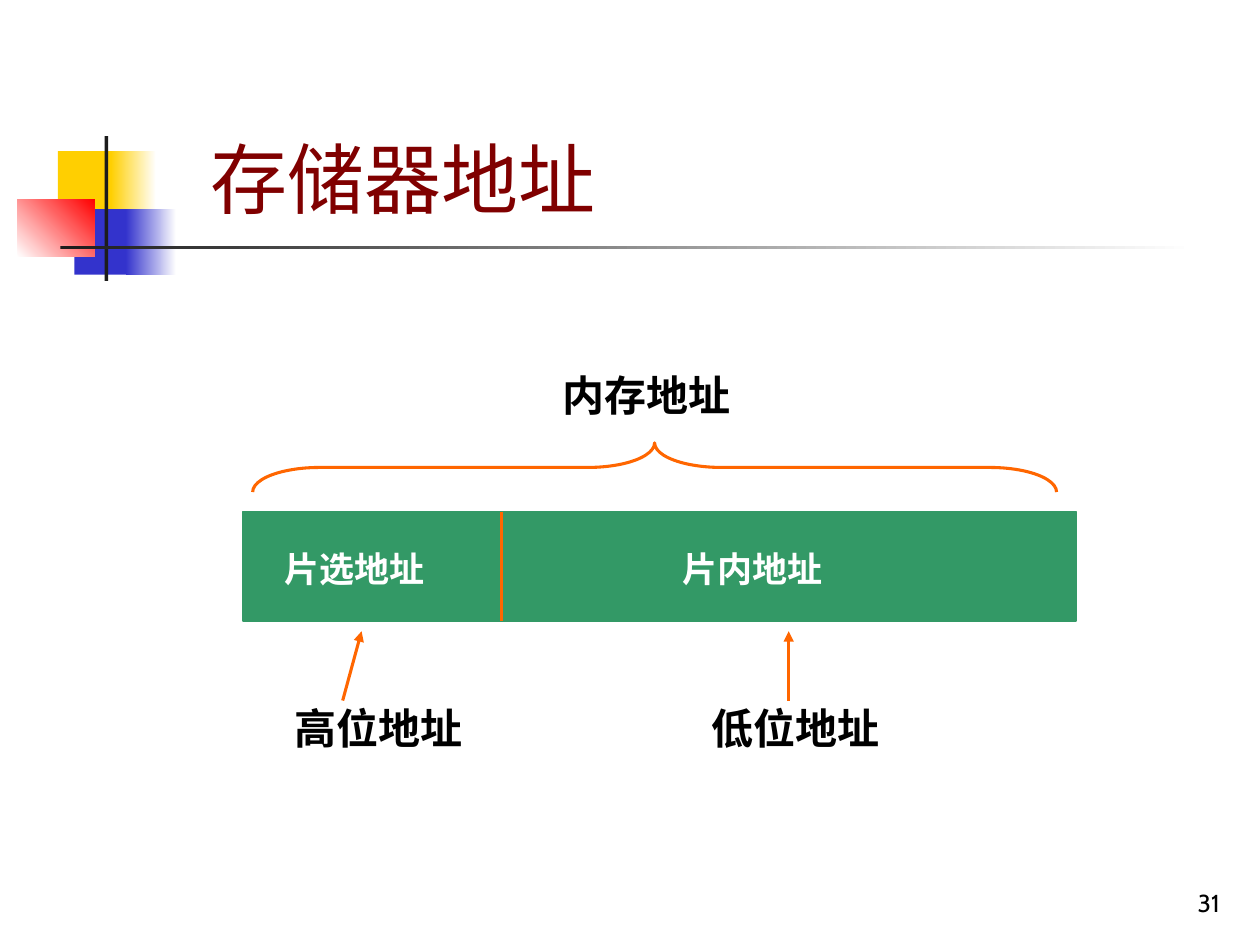
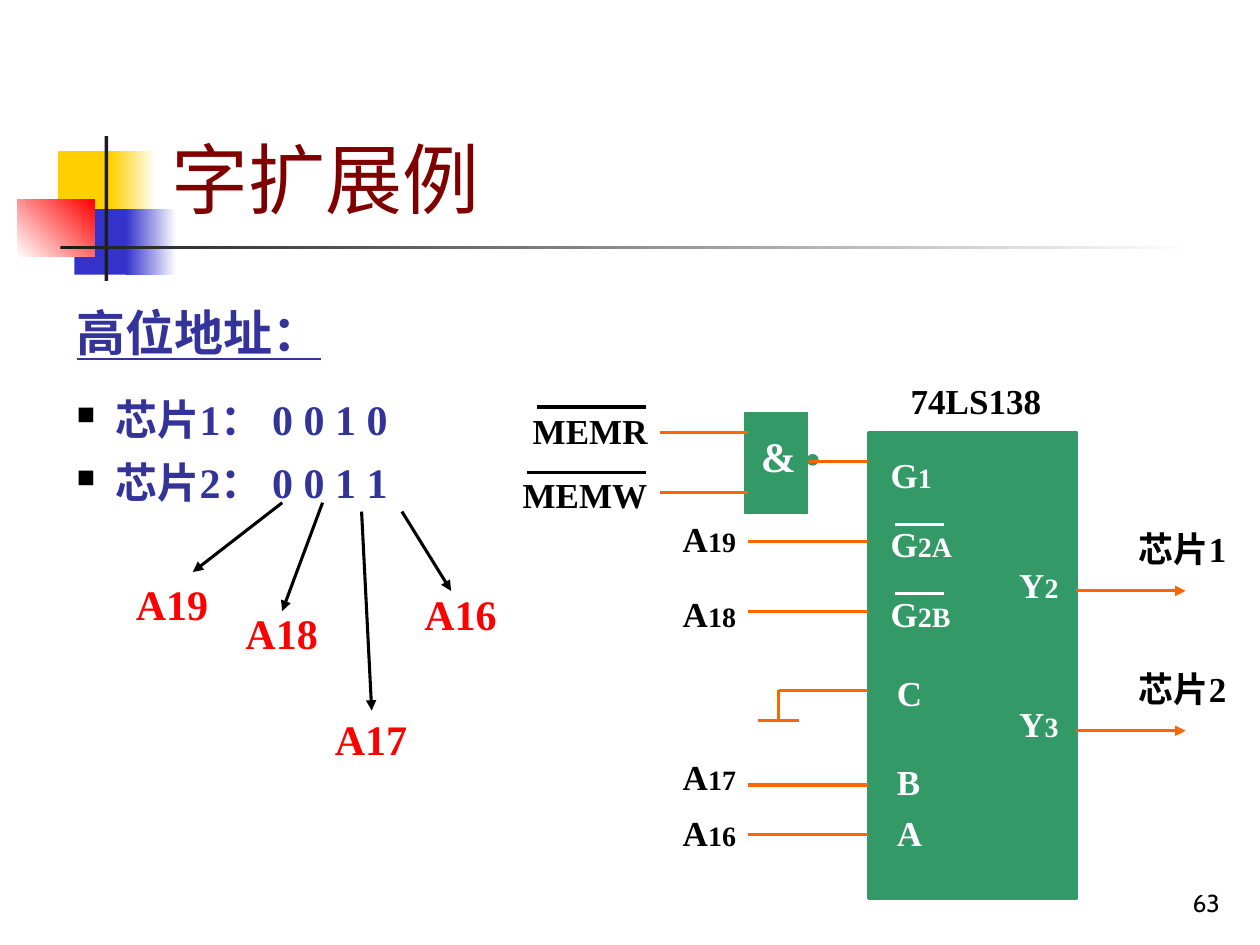
from lxml import etree
from pptx import Presentation
from pptx.dml.color import RGBColor
from pptx.enum.shapes import MSO_CONNECTOR, MSO_SHAPE
from pptx.enum.text import MSO_ANCHOR, PP_ALIGN
from pptx.oxml.ns import qn
from pptx.util import Inches, Pt

COLORS = {
    "white": "FFFFFF", "black": "000000", "ink": "1C1C1C", "title": "800000",
    "yellow": "FFCF01", "blue": "3333CC", "red": "FF0000",
    "block": "339966", "wire": "FF6600", "heading": "333399",
}
TITLE_FONT, BODY_FONT = "Cabin", "Times New Roman"


def color(name):
    return RGBColor.from_string(COLORS[name])


class SlideBuilder:
    def __init__(self):
        self.deck = Presentation()
        self.deck.slide_width, self.deck.slide_height = Inches(10), Inches(7.5)
        self.page = None

    def new_page(self, title, number, title_left):
        self.page = self.deck.slides.add_slide(self.deck.slide_layouts[6])
        # Shared ornament: overlapping squares and crossing bars
        self.shape(0.46, 1.2, 0.48, 0.52, "yellow")
        self.shape(0.88, 1.2, 0.36, 0.52, "yellow", fade_to="white")
        self.shape(0.59, 1.66, 0.46, 0.52, "blue")
        self.shape(1, 1.66, 0.4, 0.52, "blue", fade_to="white")
        self.shape(0.14, 1.58, 0.61, 0.46, "white", fade_to="red", angle=45)
        self.shape(0.83, 1.08, 0.03, 1.15, "ink")
        self.shape(0.48, 1.95, 9, 0.03, "ink", fade_to="white")
        # Page number and title
        self.label(number, 7.7, 6.83, 2.08, size=14, font=TITLE_FONT, bold=False,
                   height=0.5, anchor=MSO_ANCHOR.BOTTOM, align=PP_ALIGN.RIGHT)
        self.label(title, title_left, 0.23, 9.78 - title_left, "title", 44,
                   font=TITLE_FONT, bold=False, height=1.6,
                   anchor=MSO_ANCHOR.BOTTOM)

    def shape(self, left, top, width, height, fill, kind=MSO_SHAPE.RECTANGLE,
              fade_to=None, angle=0, outline=None):
        shape = self.page.shapes.add_shape(
            kind, Inches(left), Inches(top), Inches(width), Inches(height))
        shape.shadow.inherit = False
        if fade_to:
            shape.fill.gradient()
            shape.fill.gradient_angle = angle
            for stop, name in zip(shape.fill.gradient_stops, (fill, fade_to)):
                stop.color.rgb = color(name)
        elif fill:
            shape.fill.solid()
            shape.fill.fore_color.rgb = color(fill)
        else:
            shape.fill.background()
        if outline:
            shape.line.color.rgb = color(outline[0])
            shape.line.width = Pt(outline[1])
        else:
            shape.line.fill.background()
        return shape

    def line(self, start, end, name="wire", width=1.75, arrow=False):
        line = self.page.shapes.add_connector(
            MSO_CONNECTOR.STRAIGHT, *(Inches(value) for value in (*start, *end)))
        line.line.color.rgb = color(name)
        line.line.width = Pt(width)
        properties = line._element.spPr
        if arrow:
            etree.SubElement(properties.find(qn("a:ln")), qn("a:tailEnd"),
                             type="triangle")
        etree.SubElement(properties, qn("a:effectLst"))

    def text_box(self, left, top, width, height):
        box = self.page.shapes.add_textbox(
            Inches(left), Inches(top), Inches(width), Inches(height))
        box.text_frame.word_wrap = True
        return box.text_frame

    def style(self, span, name, size, font=BODY_FONT, bold=True):
        span.font.name, span.font.size, span.font.bold = font, Pt(size), bold
        span.font.color.rgb = color(name)

    def label(self, text, left, top, width, name="black", size=20, index="",
              font=BODY_FONT, bold=True, height=0.44, anchor=MSO_ANCHOR.TOP,
              align=PP_ALIGN.LEFT):
        frame = self.text_box(left, top, width, height)
        frame.vertical_anchor = anchor
        frame.text = text
        para = frame.paragraphs[0]
        para.alignment = align
        self.style(para.runs[0], name, size, font, bold)
        if index:
            span = para.add_run()
            span.text = index
            self.style(span, name, 16, font, bold)

    def address_list(self, heading, items, left, top, width, height):
        frame = self.text_box(left, top, width, height)
        frame.text = "\n".join([heading, *items])
        first, *rest = frame.paragraphs
        first.line_spacing = 1.05
        first.space_after = Pt(10.5)
        self.style(first.runs[0], "heading", 28)
        first.runs[0].font.underline = True
        for para in rest:
            para.space_before = Pt(7.5)
            properties = para._p.get_or_add_pPr()
            properties.set("marL", str(Inches(0.31)))
            properties.set("indent", str(-Inches(0.31)))
            bullet_color = etree.SubElement(properties, qn("a:buClr"))
            etree.SubElement(bullet_color, qn("a:srgbClr"), val=COLORS["black"])
            etree.SubElement(properties, qn("a:buSzPct"), val="60000")
            etree.SubElement(properties, qn("a:buChar"), char="■")
            self.style(para.runs[0], "heading", 24)


def memory_address(builder):
    builder.new_page("存储器地址", "31", 1.57)
    # Address bar split into two fields
    builder.shape(1.93, 4.06, 6.61, 0.87, "block", outline=("block", 1))
    builder.line((3.98, 4.06), (3.98, 4.93), width=2)
    for text, left in (("片选地址", 2.16), ("片内地址", 5.32)):
        builder.label(text, left, 4.3, 1.5, "white")
    # Brace over the whole bar
    brace = builder.shape(5, 0.52, 0.39, 6.38, None, MSO_SHAPE.LEFT_BRACE,
                          outline=("wire", 1.75))
    brace.rotation = 90
    brace.adjustments[0] = 1.36
    # Captions and arrows
    for text, left, top in (("内存地址", 4.37, 2.88), ("高位地址", 2.24, 5.53),
                            ("低位地址", 5.55, 5.53)):
        builder.label(text, left, top, 1.9, size=24, height=0.5)
    for start, end in ((2.72, 2.87), (6.26, 6.26)):
        builder.line((start, 5.56), (end, 5.01), arrow=True)


def word_expansion(builder):
    builder.new_page("字扩展例", "63", 1.26)
    # Decoder block and its pins
    builder.shape(6.89, 3.43, 1.65, 3.7, "block", outline=("block", 1.75))
    builder.label("74LS138", 7.13, 2.96, 1.34)
    for row, index in enumerate(("1", "2A", "2B")):
        builder.label("G", 6.97, 3.55 + 0.55 * row, 0.86, "white", index=index)
    for pin, top in (("C", 5.28), ("B", 5.99), ("A", 6.39)):
        builder.label(pin, 7.02, top, 0.71, "white")
    for y in (4.16, 4.71):
        builder.line((7.1, y), (7.49, y), "white")

    # Outputs
    for row in range(2):
        drop = 1.11 * row
        builder.label("Y", 7.99, 4.42 + drop, 0.71, "white", index=str(row + 2))
        builder.line((8.54, 4.69 + drop), (9.41, 4.69 + drop), arrow=True)
        builder.label(f"芯片{row + 1}", 8.94, 4.14 + drop, 1.06)

    # Gate with its inverted inputs
    builder.shape(5.91, 3.28, 0.5, 0.79, "block", outline=("block", 1))
    builder.shape(6.41, 3.61, 0.08, 0.08, "block", MSO_SHAPE.OVAL,
                  outline=("block", 1))
    builder.label("&", 5.94, 3.37, 0.47, "white", 24, height=0.5)
    builder.line((6.42, 3.66), (6.89, 3.66))
    for signal, left, top, bar_left, bar_y, wire_y in (
            ("MEMR", 4.13, 3.2, 4.26, 3.23, 3.43),
            ("MEMW", 4.05, 3.71, 4.18, 3.75, 3.91)):
        builder.label(signal, left, top, 1.34)
        builder.line((bar_left, bar_y), (5.13, bar_y), "black")
        builder.line((5.24, wire_y), (5.94, wire_y))

    # Address inputs and grounded pin
    for index, top, wire_y in (("19", 4.06, 4.3), ("18", 4.65, 4.85),
                               ("17", 5.95, 6.23), ("16", 6.39, 6.62)):
        builder.label("A", 5.32, top, 0.71, index=index)
        builder.line((5.94, wire_y), (6.89, wire_y))
    for start, end in (((6.18, 5.48), (6.89, 5.48)), ((6.18, 5.48), (6.18, 5.72)),
                       ((6.02, 5.72), (6.34, 5.72))):
        builder.line(start, end)

    # High address bits and the lines they stand for
    builder.address_list("高位地址：", ["芯片1： 0 0 1 0", "芯片2： 0 0 1 1"],
                         0.51, 2.33, 3.86, 1.75)
    for text, left, top, start, end in (
            ("A19", 0.98, 4.54, (2.24, 3.99), (1.53, 4.54)),
            ("A18", 1.85, 4.77, (2.56, 3.99), (2.24, 4.85)),
            ("A17", 2.56, 5.61, (2.87, 4.06), (2.95, 5.64)),
            ("A16", 3.27, 4.62, (3.19, 4.06), (3.58, 4.69))):
        builder.label(text, left, top, 0.86, "red", 24, height=0.5)
        builder.line(start, end, "black", arrow=True)


def main():
    builder = SlideBuilder()
    memory_address(builder)
    word_expansion(builder)
    builder.deck.save("out.pptx")


if __name__ == "__main__":
    main()
